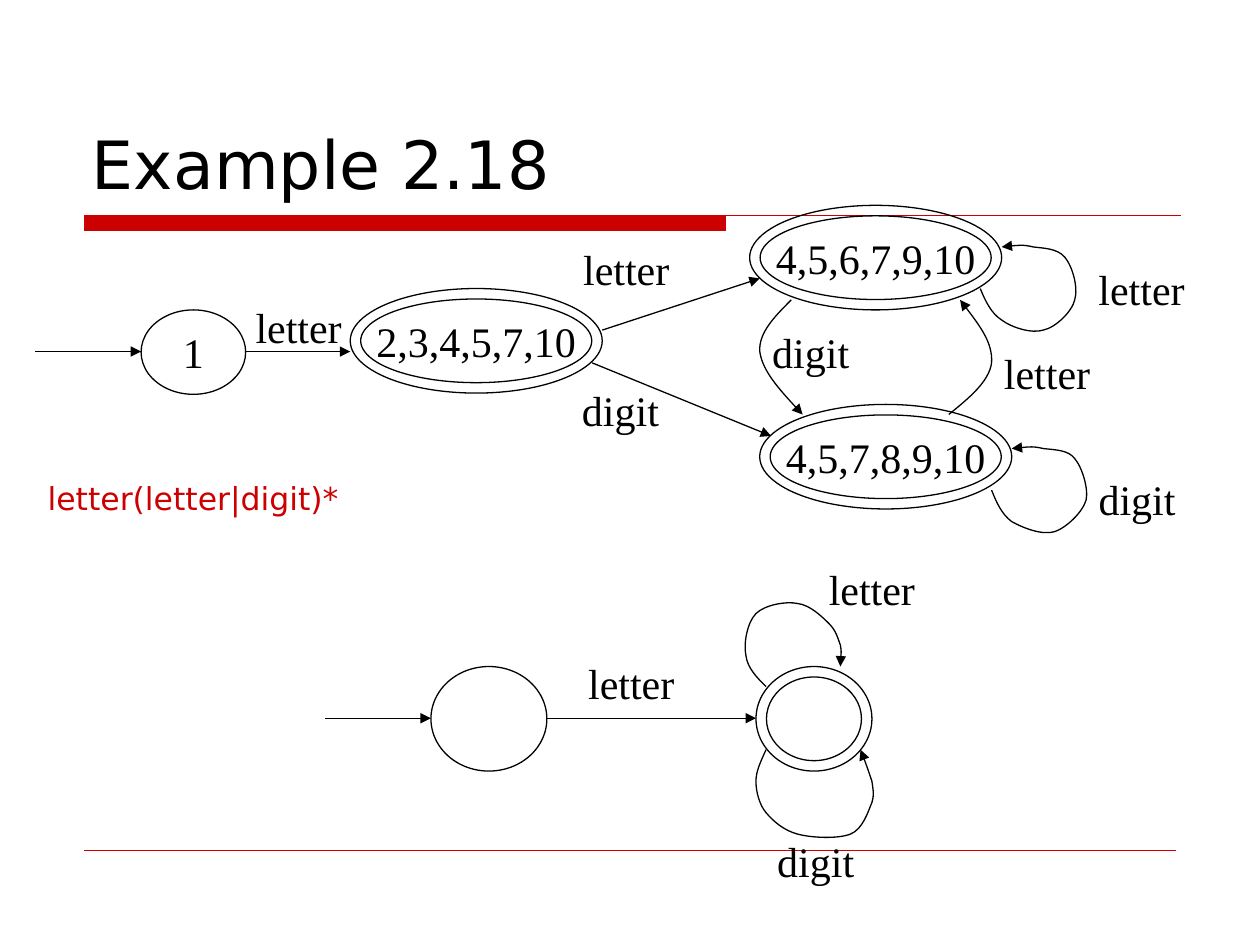
import pptx
import pptx.util
import pptx.dml.color
import pptx.enum.shapes
import pptx.enum.text
import pptx.oxml
import pptx.oxml.ns
from pptx.util import Inches

COLORS = {"black": "000000", "red": "CC0000"}
SERIF, SANS = "Times New Roman", "DejaVu Sans"
RING_GAP = 0.083


def style_line(shape, color="black", width=0.75, arrow=False):
    """Set the outline, drop the shadow and add an arrowhead if wanted."""
    shape.line.color.rgb = pptx.dml.color.RGBColor.from_string(COLORS[color])
    shape.line.width = pptx.util.Pt(width)
    if arrow:
        head = pptx.oxml.parse_xml(
            f'<a:tailEnd {pptx.oxml.ns.nsdecls("a")} type="triangle"/>')
        shape.line._get_or_add_ln().append(head)
    effects = pptx.oxml.parse_xml(f'<a:effectLst {pptx.oxml.ns.nsdecls("a")}/>')
    shape._element.spPr.append(effects)


def write_text(shape, text, size=24, font=SERIF, color="black",
               align="LEFT", anchor="TOP", wrap=False):
    frame = shape.text_frame
    frame.word_wrap = wrap
    frame.vertical_anchor = getattr(pptx.enum.text.MSO_ANCHOR, anchor)
    paragraph = frame.paragraphs[0]
    paragraph.alignment = getattr(pptx.enum.text.PP_ALIGN, align)
    run = paragraph.add_run()
    run.text = text
    run.font.size = pptx.util.Pt(size)
    run.font.name = font
    run.font.color.rgb = pptx.dml.color.RGBColor.from_string(COLORS[color])


presentation = pptx.Presentation()
presentation.slide_width, presentation.slide_height = Inches(10), Inches(7.5)
slide = presentation.slides.add_slide(presentation.slide_layouts[5])
shapes = slide.shapes

# Red bar under the title, running on as a thin rule
builder = shapes.build_freeform(Inches(0.67), Inches(1.71))
builder.add_line_segments(
    [(Inches(x), Inches(y)) for x, y in [(5.76, 1.71), (5.76, 1.83), (0.67, 1.83)]])
builder.move_to(Inches(0.67), Inches(1.71))
builder.add_line_segments([(Inches(9.37), Inches(1.71))], close=False)
bar = builder.convert_to_shape()
bar.fill.solid()
bar.fill.fore_color.rgb = pptx.dml.color.RGBColor.from_string(COLORS["red"])
style_line(bar, "red")

# Footer rule
rule = shapes.add_connector(pptx.enum.shapes.MSO_CONNECTOR.STRAIGHT,
                            Inches(0.67), Inches(6.75), Inches(9.33), Inches(6.75))
style_line(rule, "red", 0.25)

# Title
title = shapes.title
title.left, title.top = Inches(0.63), Inches(0.33)
title.width, title.height = Inches(8.75), Inches(1.33)
write_text(title, "Example 2.18", 38, SANS, anchor="BOTTOM", wrap=True)

# States: left, top, width, height, text, accepting
states = [
    (1.12, 2.46, 0.83, 0.67, "1", False),
    (2.78, 2.29, 2, 0.83, "2,3,4,5,7,10", True),
    (5.95, 1.63, 2, 0.83, "4,5,6,7,9,10", True),
    (6.03, 3.21, 2, 0.83, "4,5,7,8,9,10", True),
    (3.42, 5.29, 0.92, 0.83, "", False),
    (6, 5.29, 0.92, 0.83, "", True),
]
for left, top, width, height, text, accepting in states:
    for gap in ([0, RING_GAP] if accepting else [0]):
        ring = shapes.add_shape(
            pptx.enum.shapes.MSO_SHAPE.OVAL, Inches(left + gap), Inches(top + gap),
            Inches(width - 2 * gap), Inches(height - 2 * gap))
        ring.fill.background()
        style_line(ring)
        if text and gap == 0:
            write_text(ring, text, align="CENTER", anchor="MIDDLE")

# Straight transitions: from x, y to x, y
arrows = [
    (0.28, 2.79, 1.12, 2.79), (1.95, 2.79, 2.78, 2.79),
    (4.78, 2.62, 6.03, 2.21), (4.7, 2.88, 6.12, 3.46),
    (2.58, 5.7, 3.42, 5.7), (4.33, 5.7, 6, 5.7),
]
for arrow in arrows:
    connector = shapes.add_connector(pptx.enum.shapes.MSO_CONNECTOR.STRAIGHT,
                                     *[Inches(value) for value in arrow])
    style_line(connector, arrow=True)

# Curved transitions: a start point, then three Bezier points per segment
curves = [
    [(6.28, 2.38), (6.15, 2.51), (6.02, 2.64), (6.03, 2.79),
     (6.05, 2.94), (6.21, 3.12), (6.37, 3.29)],
    [(7.53, 3.29), (7.69, 3.16), (7.85, 3.03), (7.87, 2.88),
     (7.88, 2.72), (7.75, 2.55), (7.62, 2.38)],
    [(7.78, 2.29), (7.82, 2.39), (7.87, 2.49), (7.95, 2.54),
     (8.03, 2.6), (8.19, 2.65), (8.28, 2.62), (8.38, 2.6), (8.51, 2.47), (8.53, 2.38),
     (8.56, 2.28), (8.51, 2.11), (8.45, 2.04), (8.39, 1.97), (8.28, 1.97), (8.2, 1.96),
     (8.12, 1.94), (8.03, 1.95), (7.95, 1.96)],
    [(7.87, 3.89), (7.91, 3.99), (7.95, 4.08), (8.03, 4.14),
     (8.12, 4.19), (8.27, 4.25), (8.37, 4.22), (8.46, 4.19), (8.59, 4.07), (8.62, 3.97),
     (8.64, 3.88), (8.59, 3.71), (8.53, 3.64), (8.48, 3.57), (8.37, 3.57), (8.28, 3.56),
     (8.2, 3.54), (8.12, 3.55), (8.03, 3.56)],
    [(6.08, 5.45), (6.01, 5.38), (5.93, 5.3), (5.92, 5.2),
     (5.9, 5.11), (5.93, 4.94), (6, 4.87), (6.07, 4.8), (6.24, 4.77), (6.33, 4.79),
     (6.43, 4.8), (6.53, 4.9), (6.58, 4.95), (6.64, 5.01), (6.65, 5.07), (6.67, 5.12),
     (6.68, 5.18), (6.67, 5.23), (6.67, 5.29)],
    [(6.08, 5.95), (6.04, 6.04), (6, 6.12), (6, 6.2),
     (6, 6.29), (6.03, 6.39), (6.08, 6.45), (6.14, 6.52), (6.22, 6.59), (6.33, 6.62),
     (6.44, 6.65), (6.65, 6.66), (6.75, 6.62), (6.85, 6.58), (6.89, 6.44), (6.92, 6.37),
     (6.94, 6.3), (6.93, 6.27), (6.92, 6.2), (6.9, 6.14), (6.87, 6.05), (6.83, 5.95)],
]
for curve in curves:
    points = [(Inches(x), Inches(y)) for x, y in curve]
    builder = shapes.build_freeform(*points[0])
    builder.add_line_segments(points[1:], close=False)
    loop = builder.convert_to_shape()
    loop.fill.background()
    style_line(loop, arrow=True)
    # Turn each three line points into one Bezier segment
    outline = loop._element.spPr.find(".//" + pptx.oxml.ns.qn("a:path"))
    lines = outline.findall(pptx.oxml.ns.qn("a:lnTo"))
    for index in range(0, len(lines), 3):
        bezier = pptx.oxml.parse_xml(f'<a:cubicBezTo {pptx.oxml.ns.nsdecls("a")}/>')
        for line in lines[index:index + 3]:
            bezier.append(line[0])
            outline.remove(line)
        outline.append(bezier)

# Transition labels: text, left, top
label_widths = {"letter": 0.9, "digit": 0.81}
labels = [
    ("letter", 1.93, 2.34), ("letter", 4.53, 1.88), ("letter", 8.62, 2.04),
    ("letter", 7.87, 2.71), ("digit", 4.52, 3), ("digit", 6.03, 2.54),
    ("digit", 8.62, 3.71), ("letter", 4.57, 5.17), ("letter", 6.48, 4.42),
    ("digit", 6.07, 6.58),
]
for text, left, top in labels:
    label = shapes.add_textbox(Inches(left), Inches(top),
                               Inches(label_widths[text]), Inches(0.5))
    write_text(label, text)
    label.text_frame.auto_size = pptx.enum.text.MSO_AUTO_SIZE.SHAPE_TO_FIT_TEXT

# Regular expression
expression = shapes.add_textbox(Inches(0.28), Inches(3.75), Inches(3.13), Inches(0.4))
write_text(expression, "letter(letter|digit)*", 18, SANS, "red", wrap=True)

presentation.save("out.pptx")
